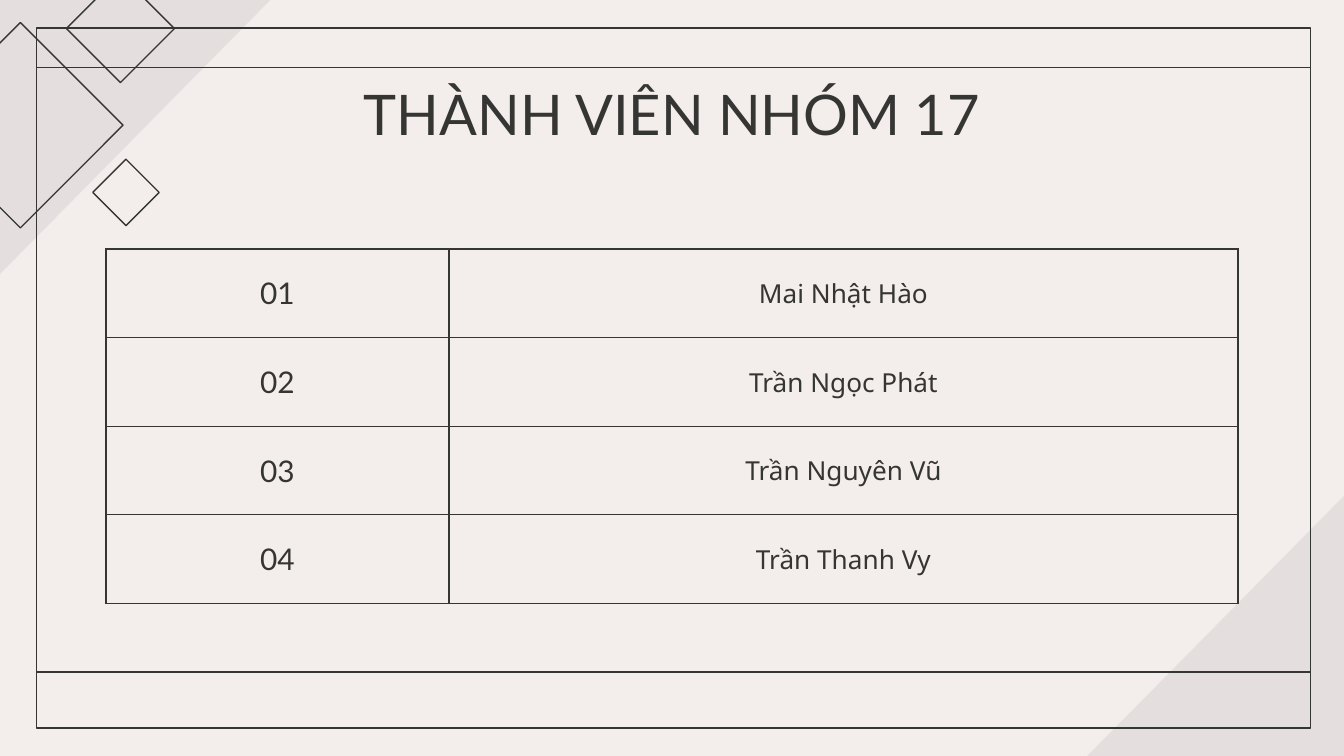
"""Build the team members slide with its framed geometric decoration."""
import dataclasses
import typing

import lxml.etree
import pptx
import pptx.dml.color
import pptx.enum.shapes
import pptx.enum.text
import pptx.oxml.ns
import pptx.util

Pt = pptx.util.Pt
Kind = pptx.enum.shapes.MSO_SHAPE
Anchor = pptx.enum.text.MSO_ANCHOR
COLOURS = {"background": "F3EEEB", "corner": "E4DFDE", "ink": "353533"}
LINE_WIDTH = 0.75
MEMBERS = ["Mai Nhật Hào", "Trần Ngọc Phát", "Trần Nguyên Vũ", "Trần Thanh Vy"]
COLUMN_WIDTHS = [183.75, 422.75]
ROW_HEIGHT = 47.5
FRAME_LEFT, FRAME_RIGHT = 19.5, 702
RULE_HEIGHTS = [36, 360]


@dataclasses.dataclass
class Decoration:
    """A preset shape with its place in points."""
    kind: Kind
    left: float
    top: float
    width: float
    height: float
    rotation: float = 0
    fill: typing.Optional[str] = None
    flipped: bool = False


@dataclasses.dataclass
class TextStyle:
    """Font, size and spacing of a centred paragraph."""
    font: str
    size: float
    space_after: float = 0


TITLE_STYLE = TextStyle("Lato", 30)
NUMBER_STYLE = TextStyle("Lato", 16)
NAME_STYLE = TextStyle("Noto Sans", 14, 16)

DECORATIONS = [
    Decoration(Kind.RIGHT_TRIANGLE, -0.7, 0, 145.5, 147.5, 180, "corner", True),
    Decoration(Kind.RIGHT_TRIANGLE, 582.5, 265.7, 137.5, 139.3, 0, "corner", True),
    Decoration(Kind.RECTANGLE, -28, 28.2, 77.8, 77.8, 45),
    Decoration(Kind.RECTANGLE, 54.9, 90.5, 25.2, 25.2, 45),
    Decoration(Kind.RECTANGLE, 44, -5.2, 41, 41, 45),
    Decoration(Kind.RECTANGLE, FRAME_LEFT, 15, FRAME_RIGHT - FRAME_LEFT, 375),
]


def colour(name: str) -> pptx.dml.color.RGBColor:
    """Return the named colour."""
    return pptx.dml.color.RGBColor.from_string(COLOURS[name])


def apply_format(target: typing.Any, values: dict) -> None:
    """Set every given attribute on the target."""
    for name, value in values.items():
        setattr(target, name, value)


def draw_outline(line: typing.Any) -> None:
    """Give a line the ink colour and the common width."""
    line.fill.solid()
    line.fill.fore_color.rgb = colour("ink")
    line.width = Pt(LINE_WIDTH)


def draw_decoration(slide: typing.Any, decoration: Decoration) -> None:
    """Draw a filled corner or an outlined rectangle."""
    place = (decoration.left, decoration.top, decoration.width, decoration.height)
    shape = slide.shapes.add_shape(decoration.kind, *map(Pt, place))
    shape.shadow.inherit = False
    shape.rotation = decoration.rotation
    if decoration.flipped:
        shape.element.spPr.find(pptx.oxml.ns.qn("a:xfrm")).set("flipH", "1")
    if decoration.fill:
        shape.fill.solid()
        shape.fill.fore_color.rgb = colour(decoration.fill)
        shape.line.fill.background()
    else:
        shape.fill.background()
        draw_outline(shape.line)


def draw_rule(slide: typing.Any, height: float) -> None:
    """Draw a horizontal rule across the frame."""
    rule = slide.shapes.add_connector(
        pptx.enum.shapes.MSO_CONNECTOR.STRAIGHT,
        Pt(FRAME_LEFT), Pt(height), Pt(FRAME_RIGHT), Pt(height))
    draw_outline(rule.line)
    lxml.etree.SubElement(rule.element.spPr, pptx.oxml.ns.qn("a:effectLst"))


def write_text(text_frame: typing.Any, text: str, style: TextStyle) -> None:
    """Write one centred paragraph."""
    paragraph = text_frame.paragraphs[0]
    apply_format(paragraph, {
        "alignment": pptx.enum.text.PP_ALIGN.CENTER,
        "space_after": Pt(style.space_after)})
    run = paragraph.add_run()
    run.text = text
    apply_format(run.font, {"name": style.font, "size": Pt(style.size), "bold": False})
    run.font.color.rgb = colour("ink")


def draw_title(slide: typing.Any, text: str) -> None:
    """Draw the slide title."""
    shape = slide.shapes.add_textbox(Pt(56.75), Pt(35.5), Pt(606.5), Pt(45))
    inset = Pt(7.2)
    apply_format(shape.text_frame, {
        "word_wrap": True, "vertical_anchor": Anchor.TOP,
        "margin_left": inset, "margin_right": inset,
        "margin_top": inset, "margin_bottom": inset})
    write_text(shape.text_frame, text, TITLE_STYLE)


def draw_borders(cell: typing.Any) -> None:
    """Draw all four borders of a cell."""
    properties = cell._tc.get_or_add_tcPr()
    for index, side in enumerate(["a:lnL", "a:lnR", "a:lnT", "a:lnB"]):
        border = lxml.etree.Element(
            pptx.oxml.ns.qn(side), {"w": str(int(Pt(LINE_WIDTH)))})
        fill = lxml.etree.SubElement(border, pptx.oxml.ns.qn("a:solidFill"))
        lxml.etree.SubElement(
            fill, pptx.oxml.ns.qn("a:srgbClr"), {"val": COLOURS["ink"]})
        properties.insert(index, border)


def draw_cell(cell: typing.Any, text: str, style: TextStyle) -> None:
    """Format a cell and write its text."""
    apply_format(cell, {
        "vertical_anchor": Anchor.MIDDLE,
        "margin_left": Pt(7.2), "margin_right": Pt(7.2),
        "margin_top": 0, "margin_bottom": 0})
    cell.fill.background()
    draw_borders(cell)
    write_text(cell.text_frame, text, style)


def draw_members(slide: typing.Any, members: list[str]) -> None:
    """Draw the numbered table of members."""
    table = slide.shapes.add_table(
        len(members), len(COLUMN_WIDTHS), Pt(56.75), Pt(133.4),
        Pt(sum(COLUMN_WIDTHS)), Pt(ROW_HEIGHT * len(members))).table
    apply_format(table, {"first_row": False, "horz_banding": False})
    for column, width in zip(table.columns, COLUMN_WIDTHS):
        column.width = Pt(width)
    for index, member in enumerate(members):
        table.rows[index].height = Pt(ROW_HEIGHT)
        draw_cell(table.cell(index, 0), f"{index + 1:02}", NUMBER_STYLE)
        draw_cell(table.cell(index, 1), member, NAME_STYLE)


def main() -> None:
    """Build and save the presentation."""
    presentation = pptx.Presentation()
    apply_format(presentation, {"slide_width": Pt(720), "slide_height": Pt(405)})
    slide = presentation.slides.add_slide(presentation.slide_layouts[6])
    slide.background.fill.solid()
    slide.background.fill.fore_color.rgb = colour("background")
    for decoration in DECORATIONS:
        draw_decoration(slide, decoration)
    for height in RULE_HEIGHTS:
        draw_rule(slide, height)
    draw_title(slide, "THÀNH VIÊN NHÓM 17")
    draw_members(slide, MEMBERS)
    presentation.save("out.pptx")


if __name__ == "__main__":
    main()
